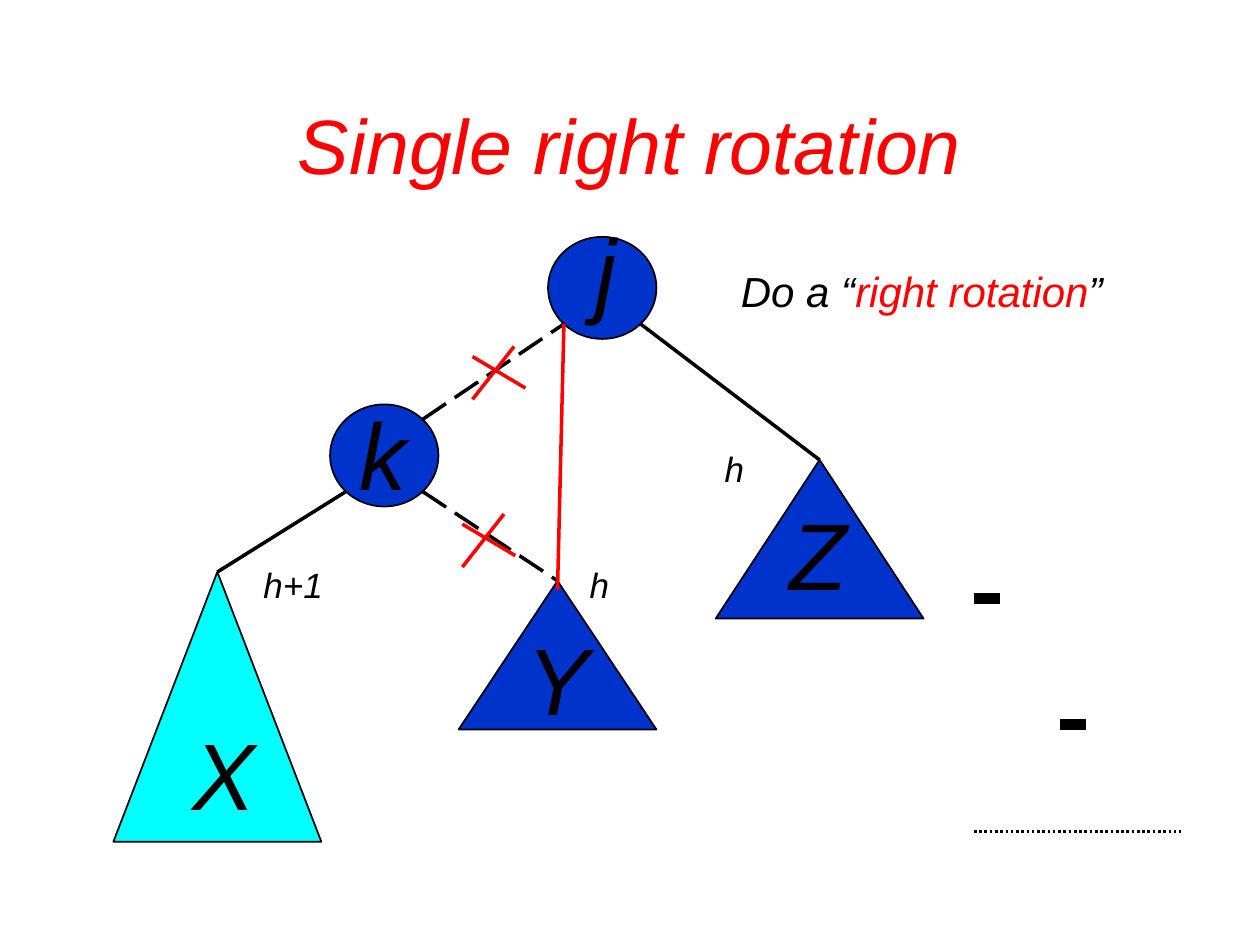
"""Build a slide that shows a single right rotation in a binary tree."""
from math import sqrt

from lxml.etree import SubElement
from pptx import Presentation
from pptx.dml.color import RGBColor
from pptx.enum.dml import MSO_LINE_DASH_STYLE as Dash
from pptx.enum.shapes import MSO_CONNECTOR, MSO_SHAPE as Shape
from pptx.enum.text import MSO_ANCHOR, MSO_AUTO_SIZE, PP_ALIGN
from pptx.oxml.ns import qn
from pptx.util import Inches, Pt

BLACK, RED, BLUE, CYAN = "000000", "FF0000", "0033CC", "00FFFF"

NODES = {"j": (4.35, 1.88, 0.86, 0.81), "k": (2.62, 3.21, 0.86, 0.81)}
SUBTREES = {
    "X": (0.9, 4.54, 1.65, 2.14, CYAN),
    "Y": (3.64, 4.61, 1.57, 1.18, BLUE),
    "Z": (5.68, 3.65, 1.65, 1.26, BLUE),
}
CROSSES = [(3.75, 2.75), (3.67, 4.08)]
CROSS_STROKES = [(0, 0.08, 0.42, 0.33), (0.33, 0, 0, 0.42)]
MARKS = [
    (7.73, 4.75, 7.94, 4.75, BLACK, 6, None),
    (8.41, 5.75, 8.62, 5.75, BLACK, 6, None),
    (7.73, 6.6, 9.37, 6.6, BLACK, 1.5, Dash.ROUND_DOT),
]
TITLE = ((2.35, 0.75, 5.3, 0.76), 44, [("Single right rotation", RED)])
LABELS = [
    ((4.73, 1.66, 0.19, 0.93), 54, [("j", BLACK)]),
    ((2.85, 3.12, 0.4, 0.93), 54, [("k", BLACK)]),
    ((1.53, 5.66, 0.53, 0.93), 54, [("X", BLACK)]),
    ((4.18, 4.91, 0.53, 0.93), 54, [("Y", BLACK)]),
    ((6.27, 3.92, 0.53, 0.93), 54, [("Z", BLACK)]),
    ((5.88, 2.09, 2.95, 0.43), 24,
     [("Do a “", BLACK), ("right rotation", RED), ("”", BLACK)]),
    ((5.75, 3.53, 0.18, 0.36), 20, [("h", BLACK)]),
    ((2.09, 4.45, 0.52, 0.36), 20, [("h+1", BLACK)]),
    ((4.68, 4.45, 0.18, 0.36), 20, [("h", BLACK)]),
]


def rgb(value):
    return RGBColor.from_string(value)


def add_outline(s, kind, box, fill):
    sp = s.shapes.add_shape(kind, *map(Inches, box))
    sp.shadow.inherit = False
    sp.fill.solid()
    sp.fill.fore_color.rgb = rgb(fill)
    sp.line.color.rgb = rgb(BLACK)
    sp.line.width = Pt(1)


def add_line(s, x1, y1, x2, y2, color=BLACK, width=2, dash=None):
    sp = s.shapes.add_connector(MSO_CONNECTOR.STRAIGHT, *map(Inches, (x1, y1, x2, y2)))
    SubElement(sp._element.spPr, qn("a:effectLst"))
    sp.line.color.rgb = rgb(color)
    sp.line.width = Pt(width)
    if dash is not None:
        sp.line.dash_style = dash


def write(sp, size, runs, align=PP_ALIGN.LEFT):
    tf = sp.text_frame
    frame = dict(margin_left=0, margin_right=0, margin_bottom=0, margin_top=Inches(0.02),
                 word_wrap=True, auto_size=MSO_AUTO_SIZE.NONE, vertical_anchor=MSO_ANCHOR.TOP)
    for name, value in frame.items():
        setattr(tf, name, value)
    p = tf.paragraphs[0]
    p.alignment = align
    for text, color in runs:
        r = p.add_run()
        r.text = text
        for name, value in dict(name="Arial", size=Pt(size), italic=True).items():
            setattr(r.font, name, value)
        r.font.color.rgb = rgb(color)


def corner(name, side):
    """Return the lower corner point of a node, with side -1 for left and 1 for right."""
    x, y, w, h = NODES[name]
    reach = 1 / sqrt(2)
    return x + w / 2 * (1 + side * reach), y + h / 2 * (1 + reach)


def apex(name):
    x, y, w = SUBTREES[name][:3]
    return x + w / 2, y


def main():
    prs = Presentation()
    prs.slide_width, prs.slide_height = Inches(10), Inches(7.5)
    s = prs.slides.add_slide(prs.slide_layouts[5])

    box, size, runs = TITLE
    title = s.shapes.title
    title.left, title.top, title.width, title.height = map(Inches, box)
    write(title, size, runs, PP_ALIGN.CENTER)

    for node in NODES.values():
        add_outline(s, Shape.OVAL, node, BLUE)
    for *box, fill in SUBTREES.values():
        add_outline(s, Shape.ISOSCELES_TRIANGLE, box, fill)

    kx, ky, kw, kh = NODES["k"]
    right_x, low_y = corner("k", 1)
    k_upper = right_x, 2 * ky + kh - low_y
    add_line(s, *corner("k", -1), *apex("X"))
    add_line(s, *corner("j", 1), *apex("Z"))
    add_line(s, *k_upper, *corner("j", -1), dash=Dash.LONG_DASH)
    add_line(s, *corner("k", 1), *apex("Y"), dash=Dash.LONG_DASH)
    y_x, y_top = apex("Y")
    add_line(s, *corner("j", -1), y_x, y_top + 0.07, color=RED)
    for x, y in CROSSES:
        for x1, y1, x2, y2 in CROSS_STROKES:
            add_line(s, x + x1, y + y1, x + x2, y + y2, RED)
    for mark in MARKS:
        add_line(s, *mark)

    for box, size, runs in LABELS:
        write(s.shapes.add_textbox(*map(Inches, box)), size, runs)
    prs.save("out.pptx")


if __name__ == "__main__":
    main()
